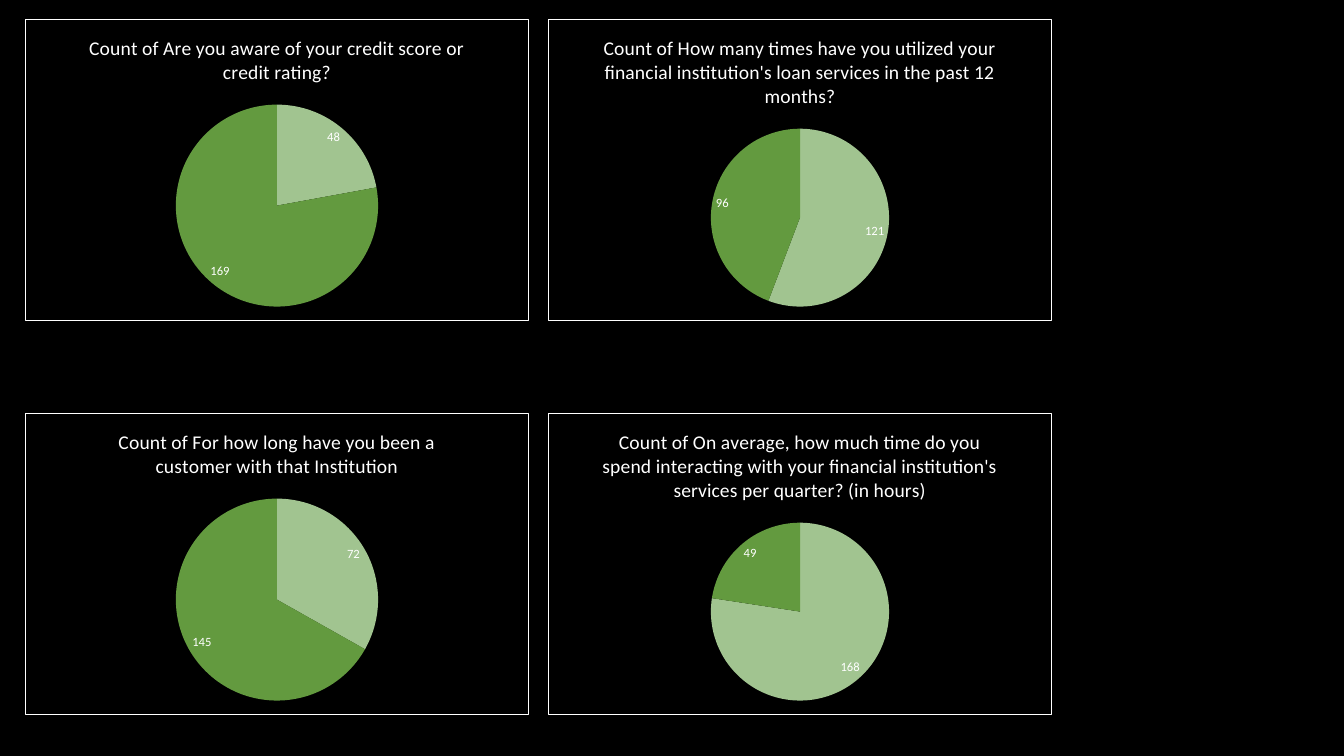
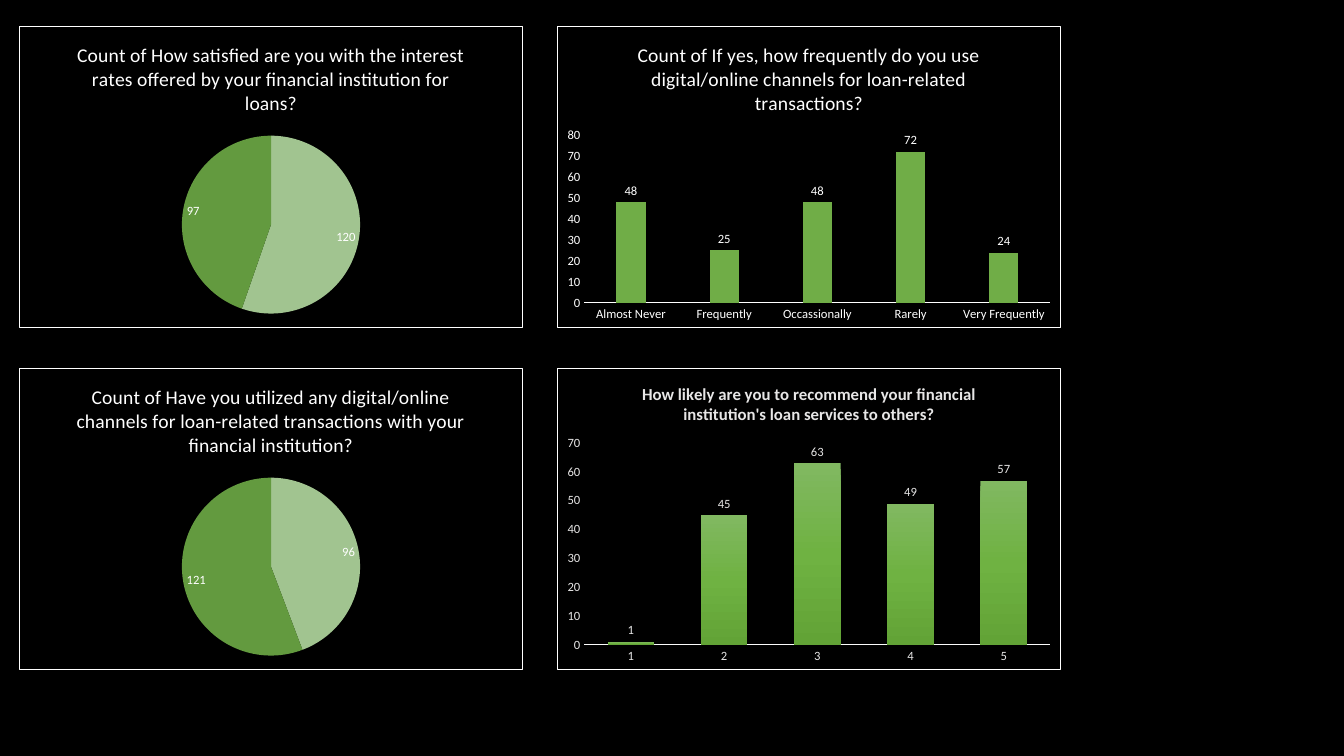
"""Build two slides of survey charts on a black background."""
from copy import deepcopy

from pptx import Presentation
from pptx.chart.data import CategoryChartData
from pptx.dml.color import RGBColor
from pptx.enum.chart import XL_CHART_TYPE, XL_LABEL_POSITION, XL_TICK_MARK
from pptx.oxml import parse_xml
from pptx.oxml.ns import nsdecls
from pptx.util import Emu, Pt

EMU_PER_PIXEL = 914400 / 100.8
FONT = "Calibri"
BLACK, WHITE, PALE = "000000", "FFFFFF", "E7E6E6"
SLICE_COLORS = ["A1C490", "639A3F"]
GRADIENT = [(0, "81B861"), (0.5, "6FB242"), (1, "62A336")]
CARD_WIDTH, CARD_HEIGHT = 504, 302
BORDER = (
    f'<c:spPr {nsdecls("c", "a")}><a:noFill/><a:ln w="9525"><a:solidFill>'
    f'<a:srgbClr val="{WHITE}"/></a:solidFill></a:ln></c:spPr>'
)

SLIDES = [
    {"columns": [25, 548], "rows": [19, 413], "charts": [
        {"title": "Count of Are you aware of your credit score or credit rating?",
         "values": [48, 169]},
        {"title": "Count of How many times have you utilized your financial "
                  "institution's loan services in the past 12 months?",
         "values": [121, 96]},
        {"title": "Count of For how long have you been a customer with that Institution",
         "values": [72, 145]},
        {"title": "Count of On average, how much time do you spend interacting with "
                  "your financial institution's services per quarter? (in hours)",
         "values": [168, 49]},
    ]},
    {"columns": [19, 557], "rows": [26, 368], "charts": [
        {"title": "Count of How satisfied are you with the interest rates offered by "
                  "your financial institution for loans?",
         "values": [120, 97]},
        {"title": "Count of If yes, how frequently do you use digital/online channels "
                  "for loan-related transactions?",
         "values": [48, 25, 48, 72, 24],
         "categories": ["Almost Never", "Frequently", "Occassionally", "Rarely",
                        "Very Frequently"],
         "columns": {"gap": 219, "overlap": -27, "top": 80, "axis": WHITE,
                     "fill": "70AD47"}},
        {"title": "Count of Have you utilized any digital/online channels for "
                  "loan-related transactions with your financial institution?",
         "values": [96, 121]},
        {"title": "How likely are you to recommend your financial institution's loan "
                  "services to others?",
         "values": [1, 45, 63, 49, 57],
         "title_format": {"size": 12, "bold": True, "color": PALE},
         "text_color": PALE,
         "columns": {"gap": 100, "overlap": -24, "top": 70, "axis": "FBFBFB",
                     "fill": GRADIENT}},
    ]},
]


def px(length):
    return Emu(round(length * EMU_PER_PIXEL))


def format_text(font, text=None, frame=None, size=9, bold=False, color=WHITE):
    if frame is not None:
        frame.text = text
        font = frame.paragraphs[0].runs[0].font
    font.name, font.size, font.bold = FONT, Pt(size), bold
    font.color.rgb = RGBColor.from_string(color)


prs = Presentation()
prs.slide_width, prs.slide_height = px(1344), px(756)
backdrop = prs.slide_master.background.fill
backdrop.solid()
backdrop.fore_color.rgb = RGBColor.from_string(BLACK)

for page in SLIDES:
    slide = prs.slides.add_slide(prs.slide_layouts[6])
    spots = [(x, y) for y in page["rows"] for x in page["columns"]]
    for (x, y), question in zip(spots, page["charts"]):
        values = question["values"]
        columns = question.get("columns")
        text_color = question.get("text_color", WHITE)
        answers = CategoryChartData()
        answers.categories = question.get(
            "categories", [str(n) for n in range(1, len(values) + 1)])
        answers.add_series("Series 1", values)
        kind = XL_CHART_TYPE.COLUMN_CLUSTERED if columns else XL_CHART_TYPE.PIE
        chart = slide.shapes.add_chart(
            kind, px(x), px(y), px(CARD_WIDTH), px(CARD_HEIGHT), answers).chart
        format_text(chart.font, size=10)
        chart.has_legend = False
        chart.has_title = True
        format_text(None, question["title"], chart.chart_title.text_frame,
                    **question.get("title_format", {"size": 14}))
        chart.chart_title.include_in_layout = False
        chart.element.find("{*}chart").addnext(parse_xml(BORDER))

        plot = chart.plots[0]
        plot.vary_by_categories = not columns
        plot.has_data_labels = True
        labels = plot.data_labels
        labels.show_value = True
        format_text(labels.font, color=text_color)
        series = plot.series[0]

        if not columns:
            labels.position = XL_LABEL_POSITION.BEST_FIT
            for index, shade in enumerate(SLICE_COLORS):
                slice_fill = series.points[index].format.fill
                slice_fill.solid()
                slice_fill.fore_color.rgb = RGBColor.from_string(shade)
            continue

        labels.position = XL_LABEL_POSITION.OUTSIDE_END
        plot.gap_width, plot.overlap = columns["gap"], columns["overlap"]
        for axis in (chart.category_axis, chart.value_axis):
            axis.major_tick_mark = axis.minor_tick_mark = XL_TICK_MARK.NONE
            axis.has_major_gridlines = False
            format_text(axis.tick_labels.font, color=text_color)
        baseline = chart.category_axis.format.line
        baseline.width = Pt(0.75)
        baseline.color.rgb = RGBColor.from_string(columns["axis"])
        chart.value_axis.format.line.fill.background()
        chart.value_axis.minimum_scale = 0
        chart.value_axis.maximum_scale = columns["top"]
        chart.value_axis.major_unit = 10

        bar_fill = series.format.fill
        if columns["fill"] is GRADIENT:
            bar_fill.gradient()
            bar_fill.gradient_angle = 270
            stop_list = chart.element.xpath(".//a:gsLst")[0]
            stop_list.append(deepcopy(stop_list[0]))
            for stop, (position, shade) in zip(bar_fill.gradient_stops, GRADIENT):
                stop.position = position
                stop.color.rgb = RGBColor.from_string(shade)
        else:
            bar_fill.solid()
            bar_fill.fore_color.rgb = RGBColor.from_string(columns["fill"])

prs.save("out.pptx")
